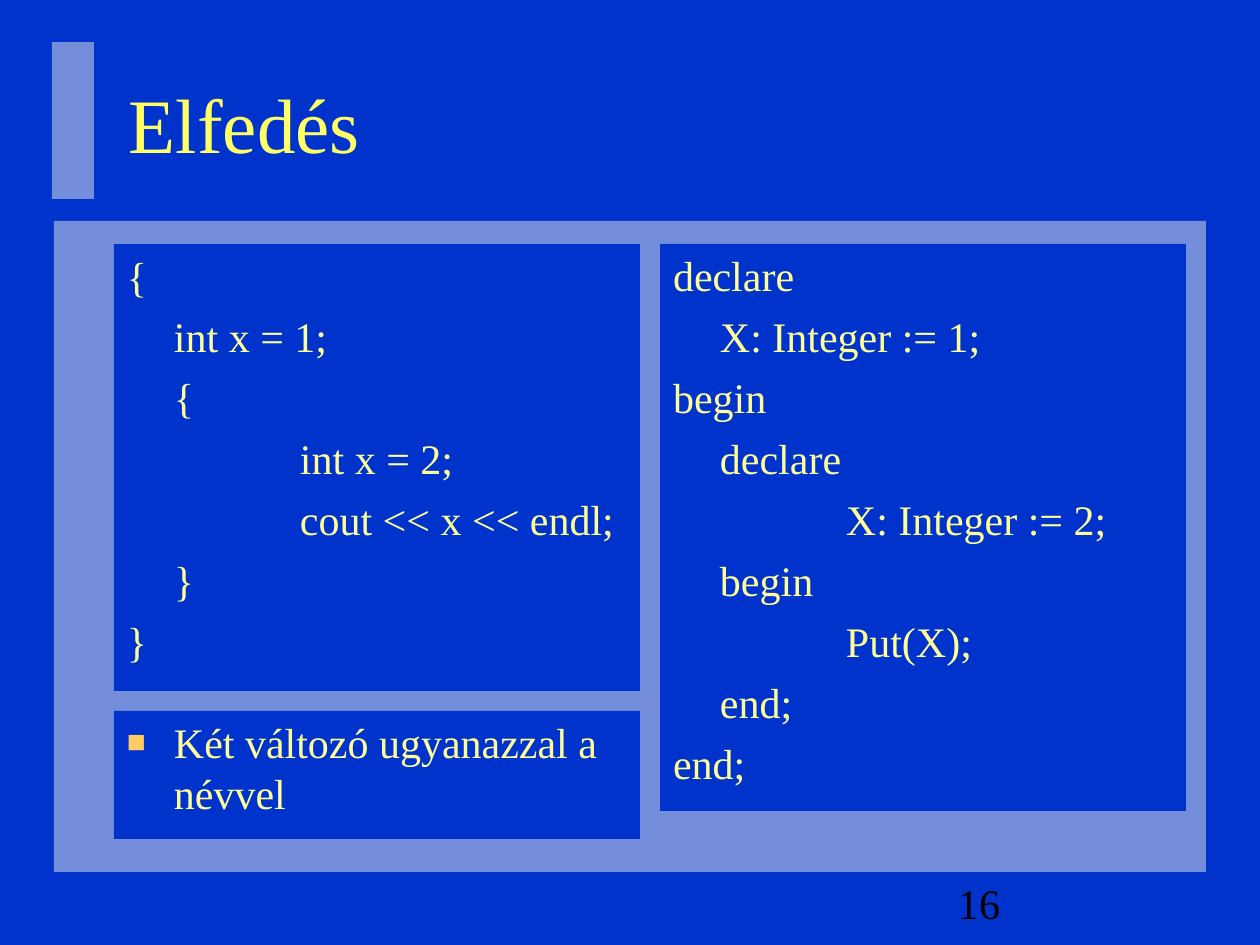
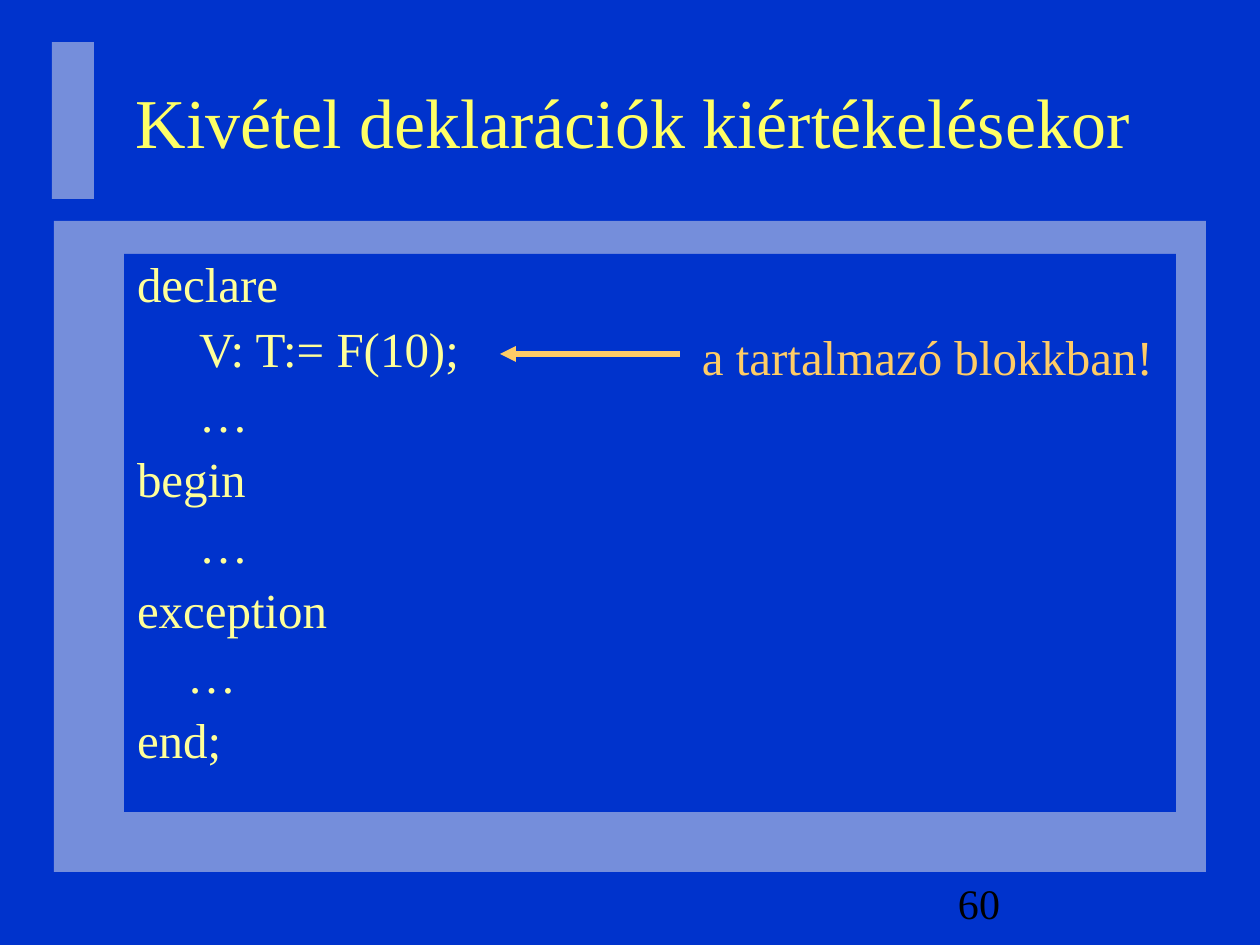
from lxml import etree
from pptx import Presentation
from pptx.dml.color import RGBColor
from pptx.enum.shapes import MSO_CONNECTOR, MSO_SHAPE
from pptx.enum.text import MSO_ANCHOR, MSO_AUTO_SIZE, PP_ALIGN
from pptx.oxml.ns import qn
from pptx.util import Pt

PX = 914400 // 126  # EMU in one px
RECT = MSO_SHAPE.RECTANGLE
STRAIGHT = MSO_CONNECTOR.STRAIGHT
TOP, MIDDLE = MSO_ANCHOR.TOP, MSO_ANCHOR.MIDDLE
LEFT = PP_ALIGN.LEFT
NO_AUTOFIT = MSO_AUTO_SIZE.NONE

FONT = "Times New Roman"
BLUE = RGBColor(0x00, 0x33, 0xCC)
PANEL = RGBColor(0xEA, 0xEA, 0xEA)
TITLE = RGBColor(0xFF, 0xFF, 0x66)
BODY = RGBColor(0xFF, 0xFF, 0x99)
ACCENT = RGBColor(0xFF, 0xCC, 0x66)
BLACK = RGBColor(0x00, 0x00, 0x00)

# Boxes shared by the slides: left, top, width, height
PANELS = [(54, 221, 1152, 651), (52, 42, 42, 157)]
NUMBER_BOX = (945, 871, 262, 63)

# Paragraph and font values for each kind of text
TITLE_TEXT = {"size": 44, "color": TITLE}
SMALL_TITLE = {"size": 40, "color": TITLE}
CODE = {"size": 24, "color": BODY, "space_before": 6}
LARGE_CODE = {"size": 28, "color": BODY, "space_before": 7, "line_spacing": 0.9}
NOTE = {"size": 28, "color": ACCENT}
NUMBER = {"size": 24, "color": BLACK}

# Code lines as (indent level, text)
CPP_BLOCK = [
    (0, "{"),
    (1, "int x = 1;"),
    (1, "{"),
    (2, "int x = 2;"),
    (2, "cout << x << endl;"),
    (1, "}"),
    (0, "}"),
]
ADA_BLOCK = [
    (0, "declare"),
    (1, "X: Integer := 1;"),
    (0, "begin"),
    (1, "declare"),
    (2, "X: Integer := 2;"),
    (1, "begin"),
    (2, "Put(X);"),
    (1, "end;"),
    (0, "end;"),
]
EXCEPTION_BLOCK = [
    (0, "declare"),
    (1, "V: T:= F(10);"),
    (1, "…"),
    (0, "begin"),
    (1, "…"),
    (0, "exception"),
    (2, "…"),
    (0, "end;"),
]
BLOCK_INDENTS = (0, 47, 173)
EXCEPTION_INDENTS = (0, 62, 50)


def emu(box):
    return [v * PX for v in box]


def place(shape, box):
    for name, value in zip(("left", "top", "width", "height"), emu(box)):
        setattr(shape, name, value)


def fill_plain(shape, color):
    shape.fill.solid()
    shape.fill.fore_color.rgb = color


def add_rect(s, box, color):
    shape = s.shapes.add_shape(RECT, *emu(box))
    shape.shadow.inherit = False
    shape.line.fill.background()
    fill_plain(shape, color)
    return shape


def set_frame(tf, anchor):
    frame = {"word_wrap": True, "auto_size": NO_AUTOFIT, "vertical_anchor": anchor,
             "margin_left": 13 * PX, "margin_right": 13 * PX,
             "margin_top": 6 * PX, "margin_bottom": 6 * PX}
    for name, value in frame.items():
        setattr(tf, name, value)


def set_indent(p, margin, first=0, bullet=None):
    """Set the left margin and an optional bullet (character, colour)."""
    pPr = p._p.get_or_add_pPr()
    pPr.set("marL", str(margin * PX))
    pPr.set("indent", str(first * PX))
    if bullet is None:
        etree.SubElement(pPr, qn("a:buNone"))
        return
    char, color = bullet
    clr = etree.SubElement(pPr, qn("a:buClr"))
    etree.SubElement(clr, qn("a:srgbClr"), val=str(color))
    etree.SubElement(pPr, qn("a:buSzPct"), val="75000")
    etree.SubElement(pPr, qn("a:buFont"), typeface=FONT)
    etree.SubElement(pPr, qn("a:buChar"), char=char)


def write(p, text, style):
    spacing = {"alignment": LEFT, "space_before": Pt(style.get("space_before", 0)),
               "line_spacing": style.get("line_spacing", 1.0)}
    for name, value in spacing.items():
        setattr(p, name, value)
    r = p.add_run()
    r.text = text
    for name, value in {"name": FONT, "size": Pt(style["size"])}.items():
        setattr(r.font, name, value)
    r.font.color.rgb = style["color"]


def write_code(shape, lines, indents, style):
    tf = shape.text_frame
    set_frame(tf, TOP)
    for i, (level, text) in enumerate(lines):
        p = tf.add_paragraph() if i else tf.paragraphs[0]
        write(p, text, style)
        set_indent(p, indents[level])


def add_text(s, box, text, style, anchor=TOP):
    tf = s.shapes.add_textbox(*emu(box)).text_frame
    set_frame(tf, anchor)
    write(tf.paragraphs[0], text, style)


def add_bullet_box(s, box, text):
    tf = add_rect(s, box, BLUE).text_frame
    set_frame(tf, TOP)
    p = tf.paragraphs[0]
    write(p, text, CODE)
    set_indent(p, 47, -47, ("■", ACCENT))


def add_arrow(s, x1, y1, x2, y2):
    line = s.shapes.add_connector(STRAIGHT, *emu((x1, y1, x2, y2)))
    line.line.color.rgb = ACCENT
    line.line.width = Pt(3)
    etree.SubElement(line.line._get_or_add_ln(), qn("a:tailEnd"), type="triangle")
    etree.SubElement(line._element.spPr, qn("a:effectLst"))


def add_panels(s):
    """Half-transparent panels behind everything else."""
    for i, box in enumerate(PANELS):
        shape = add_rect(s, box, PANEL)
        color = shape._element.spPr.find(".//" + qn("a:srgbClr"))
        etree.SubElement(color, qn("a:alpha"), val="50000")
        s.shapes._spTree.insert(2 + i, shape._element)


def add_slide(prs, title, title_box, title_style, number):
    """Add a slide with panels, title and number; return it with its body."""
    s = prs.slides.add_slide(prs.slide_layouts[1])
    add_panels(s)
    place(s.shapes.title, title_box)
    tf = s.shapes.title.text_frame
    set_frame(tf, MIDDLE)
    write(tf.paragraphs[0], title, title_style)
    add_text(s, NUMBER_BOX, number, NUMBER, MIDDLE)
    return s, s.placeholders[1]


def add_body_code(body, box, lines, indents, style):
    place(body, box)
    fill_plain(body, BLUE)
    write_code(body, lines, indents, style)


def hiding_slide(prs):
    s, body = add_slide(prs, "Elfedés", (116, 47, 1071, 152), TITLE_TEXT, "16")
    add_body_code(body, (114, 244, 526, 447), CPP_BLOCK, BLOCK_INDENTS, CODE)
    ada = add_rect(s, (660, 244, 526, 567), BLUE)
    write_code(ada, ADA_BLOCK, BLOCK_INDENTS, CODE)
    add_bullet_box(s, (114, 711, 526, 128), "Két változó ugyanazzal a névvel")


def exception_slide(prs):
    s, body = add_slide(prs, "Kivétel deklarációk kiértékelésekor",
                        (123, 42, 1042, 157), SMALL_TITLE, "60")
    add_body_code(body, (124, 254, 1052, 558), EXCEPTION_BLOCK,
                  EXCEPTION_INDENTS, LARGE_CODE)
    add_text(s, (689, 320, 486, 72), "a tartalmazó blokkban!", NOTE)
    add_arrow(s, 680, 354, 500, 354)


def main():
    prs = Presentation()
    prs.slide_width, prs.slide_height = emu((1260, 945))
    fill_plain(prs.slide_master.background, BLUE)
    hiding_slide(prs)
    exception_slide(prs)
    prs.save("out.pptx")


if __name__ == "__main__":
    main()
